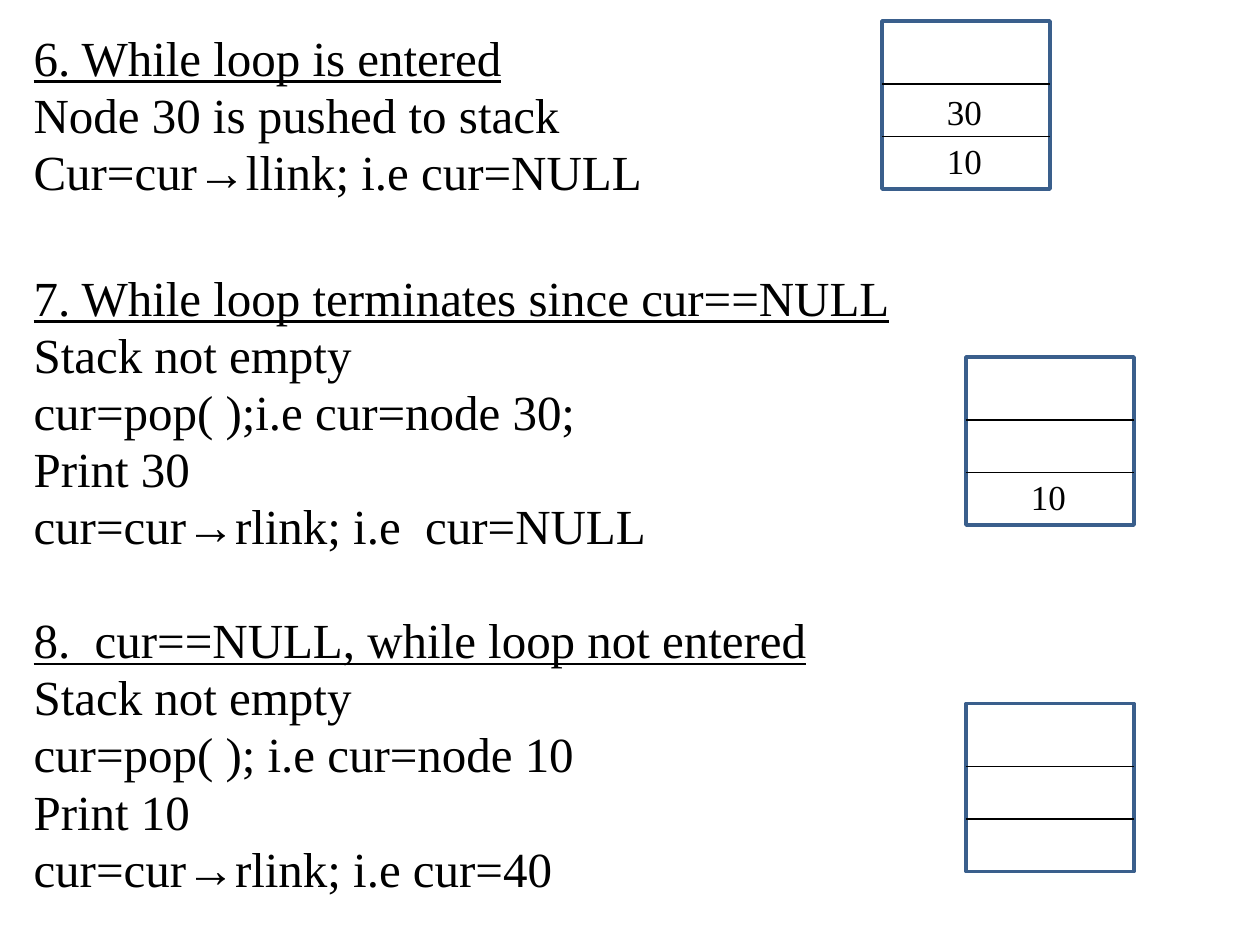
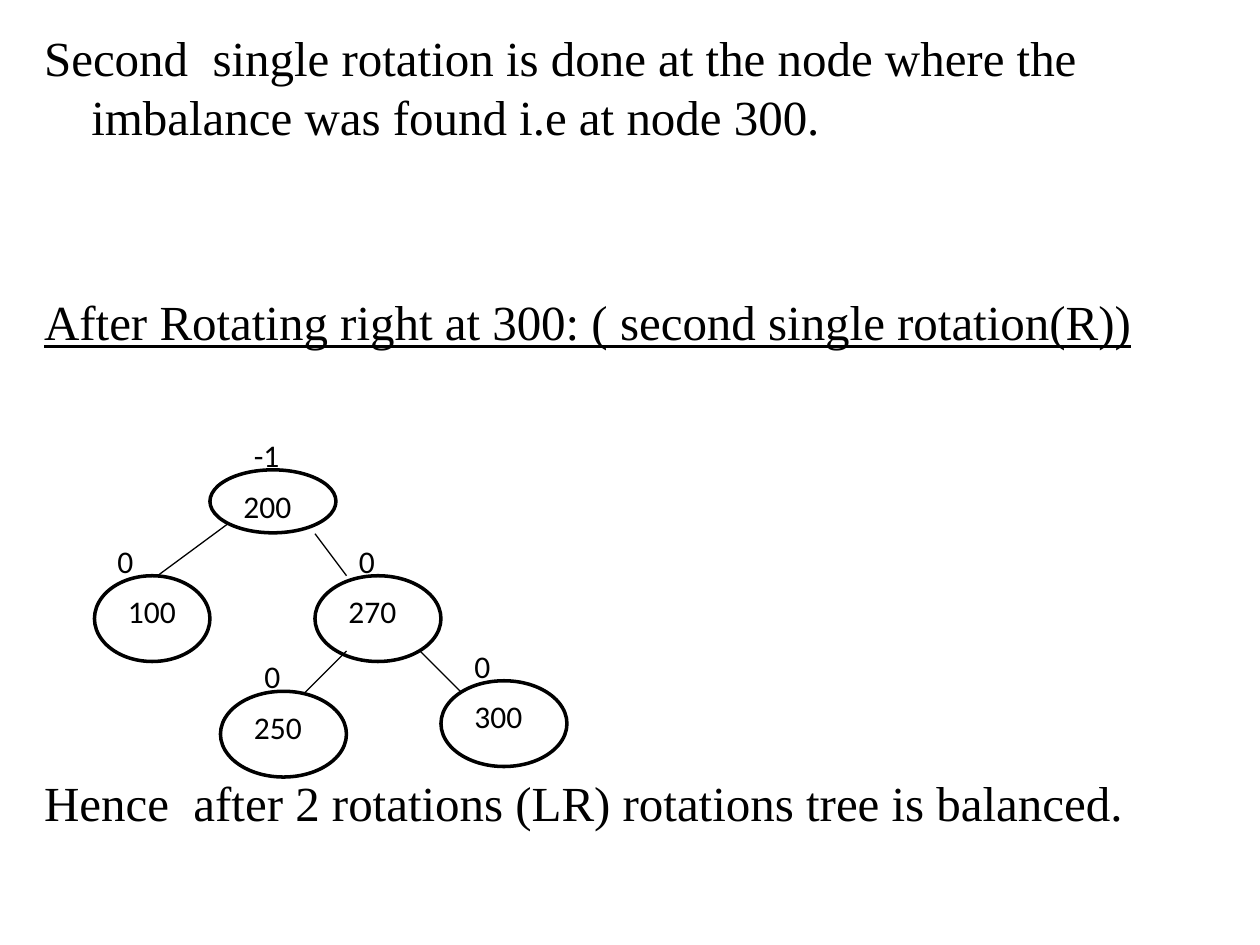
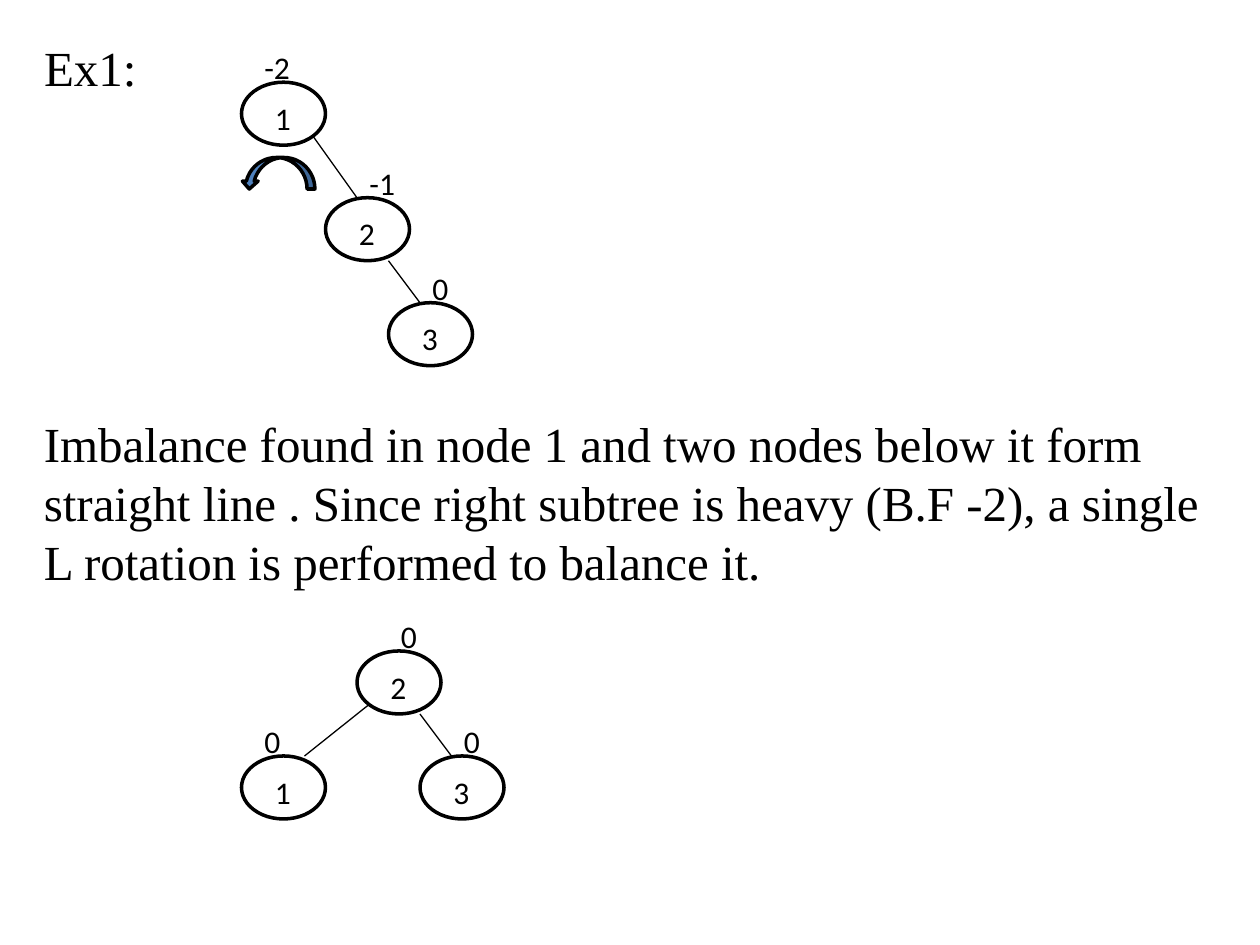
from dataclasses import dataclass

from lxml import etree
from pptx import Presentation
from pptx.dml.color import RGBColor
from pptx.enum.shapes import MSO_CONNECTOR, MSO_SHAPE
from pptx.enum.text import MSO_ANCHOR, MSO_AUTO_SIZE
from pptx.oxml.ns import qn
from pptx.util import Pt

STRAIGHT = MSO_CONNECTOR.STRAIGHT
RECTANGLE = MSO_SHAPE.RECTANGLE
OVAL = MSO_SHAPE.OVAL
CURVED_ARROW = MSO_SHAPE.CURVED_DOWN_ARROW
TOP = MSO_ANCHOR.TOP
NO_AUTOFIT = MSO_AUTO_SIZE.NONE

TITLE_AND_CONTENT = 1


@dataclass(frozen=True)
class Theme:
    ink: RGBColor = RGBColor(0, 0, 0)
    paper: RGBColor = RGBColor(255, 255, 255)
    stack_border: RGBColor = RGBColor(0x3A, 0x5F, 0x8C)
    rotation: RGBColor = RGBColor(0x4F, 0x81, 0xBD)
    prose_font: str = "Times New Roman"
    tree_font: str = "Calibri"
    prose_size: float = 28
    stack_size: float = 20
    tree_size: float = 18
    outline: float = 2
    hairline: float = 0.75
    paragraph_gap: float = 5.6
    tight_line: float = 27
    full_line: float = 33.6
    hanging: float = 27


def apply(target, values):
    for attribute, value in values.items():
        setattr(target, attribute, value)


@dataclass
class Line:
    """A body paragraph; gap is the extra space above it."""
    text: str
    heading: bool = False
    tight: bool = False
    gap: float = 0


class Deck:
    def __init__(self, theme):
        self.theme = theme
        self.presentation = Presentation()
        apply(self.presentation, {"slide_width": Pt(720), "slide_height": Pt(540)})
        self.slide = None

    def new_slide(self):
        layout = self.presentation.slide_layouts[TITLE_AND_CONTENT]
        self.slide = self.presentation.slides.add_slide(layout)
        heading = self.slide.shapes.title._element
        heading.getparent().remove(heading)

    def add_text(self, paragraph, text, font, size, underline=False):
        run = paragraph.add_run()
        run.text = text
        apply(run.font, {"name": font, "size": Pt(size), "underline": underline})
        run.font.color.rgb = self.theme.ink

    def body(self, left, top, width, height, lines):
        theme = self.theme
        body = self.slide.placeholders[1]
        apply(body, {"left": Pt(left), "top": Pt(top),
                     "width": Pt(width), "height": Pt(height)})
        frame = body.text_frame
        apply(frame, {"word_wrap": True, "auto_size": NO_AUTOFIT, "vertical_anchor": TOP})
        for index, line in enumerate(lines):
            paragraph = frame.add_paragraph() if index else frame.paragraphs[0]
            paragraph.space_before = Pt(theme.paragraph_gap + line.gap)
            if line.tight:
                paragraph.line_spacing = Pt(theme.tight_line)
            properties = paragraph._p.get_or_add_pPr()
            properties.set("marL", str(Pt(theme.hanging)))
            properties.set("indent", str(-Pt(theme.hanging)))
            etree.SubElement(properties, qn("a:buNone"))
            self.add_text(paragraph, line.text, theme.prose_font, theme.prose_size,
                          line.heading)

    def label(self, left, top, width, height, text, font, size):
        box = self.slide.shapes.add_textbox(Pt(left), Pt(top), Pt(width), Pt(height))
        box.text_frame.word_wrap = True
        self.add_text(box.text_frame.paragraphs[0], text, font, size)

    def figure(self, kind, left, top, width, height, fill, border):
        figure = self.slide.shapes.add_shape(kind, Pt(left), Pt(top), Pt(width), Pt(height))
        figure.shadow.inherit = False
        figure.fill.solid()
        figure.fill.fore_color.rgb = fill
        figure.line.color.rgb = border
        figure.line.width = Pt(self.theme.outline)
        return figure

    def edge(self, x1, y1, x2, y2):
        edge = self.slide.shapes.add_connector(STRAIGHT, Pt(x1), Pt(y1), Pt(x2), Pt(y2))
        edge.line.color.rgb = self.theme.ink
        edge.line.width = Pt(self.theme.hairline)
        etree.SubElement(edge._element.spPr, qn("a:effectLst"))

    def stack(self, left, top, values=()):
        """Three-slot stack, values listed from the bottom slot up."""
        theme, side = self.theme, 96
        self.figure(RECTANGLE, left, top, side, side, theme.paper, theme.stack_border)
        for divider in (36, 66):
            self.edge(left, top + divider, left + side, top + divider)
        for value, offset in zip(values, (64, 36)):
            self.label(left + 30, top + offset, 42, 32, value,
                       theme.prose_font, theme.stack_size)

    def node(self, key, balance, left, top, width=48, height=36, balance_shift=18):
        """Tree node with its key inside and its balance factor above."""
        theme = self.theme
        self.figure(OVAL, left, top, width, height, theme.paper, theme.ink)
        self.label(left + 12, top + 6, width - 18, 29, key, theme.tree_font, theme.tree_size)
        self.label(left + balance_shift, top - 23, 30, 29, balance,
                   theme.tree_font, theme.tree_size)

    def tree(self, nodes, edges):
        for node in nodes:
            self.node(*node)
        for edge in edges:
            self.edge(*edge)

    def left_rotation(self, left, top, width, height):
        arrow = self.figure(CURVED_ARROW, left, top, width, height,
                            self.theme.rotation, self.theme.ink)
        arrow._element.spPr.xfrm.set("flipH", "1")


def traversal_slide(deck):
    deck.new_slide()
    step_gap = deck.theme.tight_line + deck.theme.paragraph_gap
    steps = [
        ("6. While loop is entered", False,
         ["Node 30 is pushed to stack", "Cur=cur→llink; i.e cur=NULL"]),
        ("7. While loop terminates since cur==NULL", False,
         ["Stack not empty", "cur=pop( );i.e cur=node 30;", "Print 30",
          "cur=cur→rlink; i.e  cur=NULL"]),
        ("8.  cur==NULL, while loop not entered", True,
         ["Stack not empty", "cur=pop( ); i.e cur=node 10", "Print 10",
          "cur=cur→rlink; i.e cur=40"]),
    ]
    lines = []
    for heading, tight, actions in steps:
        lines.append(Line(heading, True, tight, step_gap if lines else 0))
        lines += [Line(action, tight=True) for action in actions]
    deck.body(12, 12, 696, 516, lines)
    deck.stack(504, 12, ("10", "30"))
    deck.stack(552, 204, ("10",))
    deck.stack(552, 402)


def double_rotation_slide(deck):
    deck.new_slide()
    row = deck.theme.full_line + deck.theme.paragraph_gap
    deck.body(18, 12, 684, 510, [
        Line("Second  single rotation is done at the node where the imbalance "
             "was found i.e at node 300."),
        Line("After Rotating right at 300: ( second single rotation(R))", True, gap=2 * row),
        Line("Hence  after 2 rotations (LR) rotations tree is balanced.", gap=6 * row),
    ])
    deck.tree(
        [("100", "0", 54, 329, 66, 49, 6),
         ("200", "-1", 120, 268.5, 72, 36),
         ("300", "0", 252, 389, 72, 49, 12),
         ("270", "0", 180, 329, 72, 49),
         ("250", "0", 126, 395, 72, 49)],
        [(90, 329, 130, 299.5), (180, 305, 198, 329),
         (264, 396, 240, 372), (174, 396, 198, 372)])


def single_rotation_slide(deck):
    theme = deck.theme
    deck.new_slide()
    deck.body(18, 18, 684, 504, [Line("Ex1:")])
    deck.tree(
        [("1", "-2", 138, 47, 48, 36, 6), ("2", "-1", 186, 113), ("3", "0", 222, 173)],
        [(179, 78, 204, 113), (222, 149, 240, 173)])
    deck.left_rotation(138, 90, 42, 18)
    deck.label(18, 233, 678, 109,
               "Imbalance found in node 1 and two nodes below it form straight line . "
               "Since right subtree is heavy (B.F -2), a single L rotation is performed "
               "to balance it.", theme.prose_font, theme.prose_size)
    deck.tree(
        [("1", "0", 138, 432, 48, 36, 6), ("2", "0", 204, 372), ("3", "0", 240, 432)],
        [(174, 432, 211, 402.5), (240, 408, 258, 432)])


def main():
    deck = Deck(Theme())
    traversal_slide(deck)
    double_rotation_slide(deck)
    single_rotation_slide(deck)
    deck.presentation.save("out.pptx")


if __name__ == "__main__":
    main()
